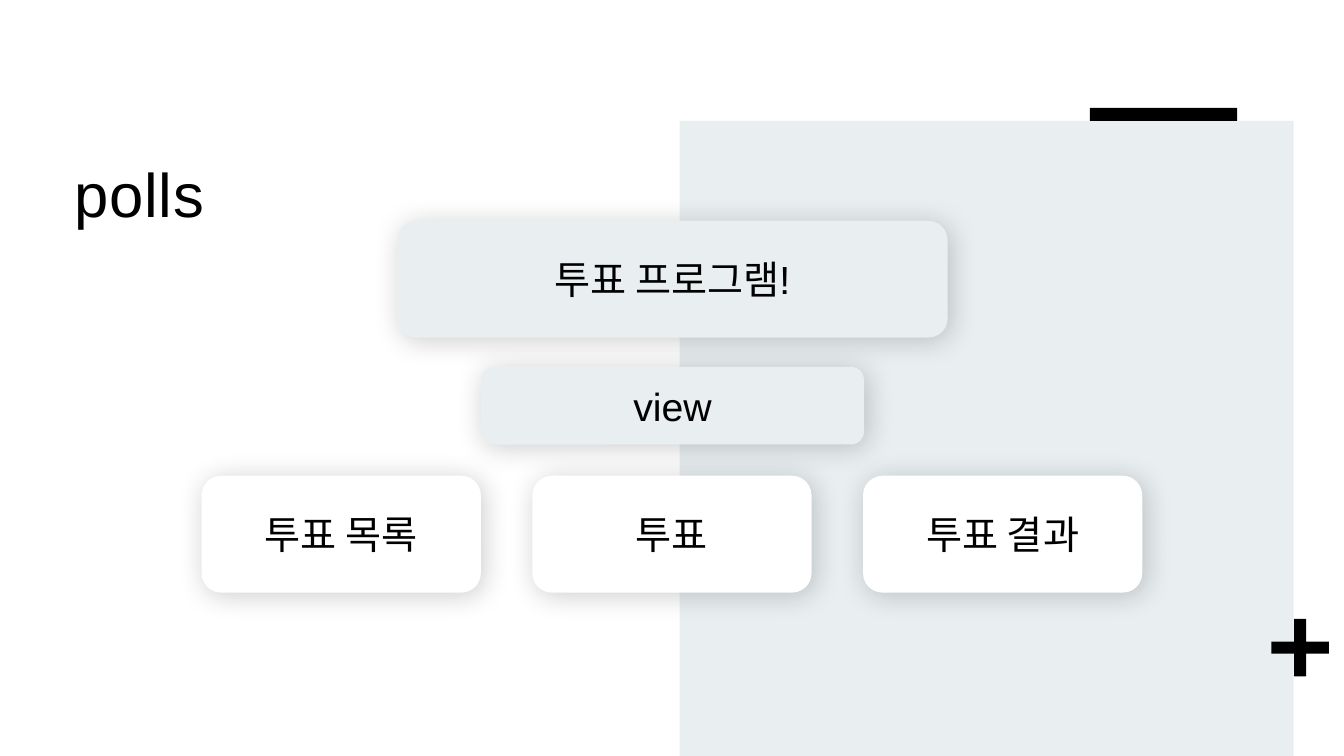
from dataclasses import dataclass

from lxml import etree
from pptx import Presentation
from pptx import util as u
from pptx.dml.color import RGBColor
from pptx.enum import shapes, text
from pptx.oxml.ns import qn


@dataclass(frozen=True)
class Theme:
    ink: str = "000000"
    pale: str = "E9EFF1"
    white: str = "FFFFFF"
    font: str = "Arial"
    title_size: int = 44
    card_size: int = 28


THEME = Theme()
SHAPE = shapes.MSO_SHAPE


def place(box, left, top, width, height):
    box.left, box.top = u.Inches(left), u.Inches(top)
    box.width, box.height = u.Inches(width), u.Inches(height)


def style_text(para, size, align):
    para.alignment = align
    for span in para.runs:
        span.font.name = THEME.font
        span.font.size = u.Pt(size)
        span.font.color.rgb = RGBColor.from_string(THEME.ink)


def add_block(page, kind, bounds, color):
    """Add a plain filled shape without line or shadow."""
    box = page.shapes.add_shape(kind, *map(u.Inches, bounds))
    box.fill.solid()
    box.fill.fore_color.rgb = RGBColor.from_string(color)
    box.line.fill.background()
    box.shadow.inherit = False
    return box


def add_soft_shadow(box):
    effects = box._element.spPr.find(qn("a:effectLst"))
    shadow = etree.SubElement(
        effects, qn("a:outerShdw"), blurRad=str(u.Pt(20)), dist=str(u.Pt(3)),
        dir=str(45 * 60000), algn="tl", rotWithShape="0")
    color = etree.SubElement(shadow, qn("a:srgbClr"), val=THEME.ink)
    etree.SubElement(color, qn("a:alpha"), val="20000")


def add_card(page, label, bounds, color):
    box = add_block(page, SHAPE.ROUNDED_RECTANGLE, bounds, color)
    add_soft_shadow(box)
    frame = box.text_frame
    frame.text = label
    frame.word_wrap = True
    frame.vertical_anchor = text.MSO_ANCHOR.MIDDLE
    style_text(frame.paragraphs[0], THEME.card_size, text.PP_ALIGN.CENTER)


def add_title(page, label):
    title = page.shapes.title
    place(title, 0.62, 1.32, 9.04, 1.58)
    frame = title.text_frame
    frame.text = label
    frame.auto_size = text.MSO_AUTO_SIZE.NONE
    frame.vertical_anchor = text.MSO_ANCHOR.TOP
    frame.margin_left = frame.margin_top = frame.margin_right = u.Inches(0.12)
    frame.margin_bottom = u.Inches(0.1)
    para = frame.paragraphs[0]
    para.line_spacing = 1.14
    style_text(para, THEME.title_size, text.PP_ALIGN.LEFT)
    para.runs[0].font._element.set("spc", "50")


def add_backdrop(page):
    add_block(page, SHAPE.RECTANGLE, (6.74, 1.2, 6.09, 6.3), THEME.pale)
    plus = add_block(page, SHAPE.CROSS, (12.61, 6.14, 0.57, 0.57), THEME.ink)
    plus.adjustments[0] = 0.395
    add_block(page, SHAPE.RECTANGLE, (10.81, 1.07, 1.46, 0.13), THEME.ink)


def main():
    deck = Presentation()
    deck.slide_width, deck.slide_height = u.Inches(13.33), u.Inches(7.5)
    page = deck.slides.add_slide(deck.slide_layouts[5])
    add_backdrop(page)
    add_title(page, "polls")

    add_card(page, "투표 프로그램!", (3.94, 2.19, 5.46, 1.16), THEME.pale)
    for column, label in enumerate(("투표 목록", "투표", "투표 결과")):
        bounds = (2 + 3.28 * column, 4.72, 2.77, 1.16)
        add_card(page, label, bounds, THEME.white)
    add_card(page, "view", (4.77, 3.64, 3.8, 0.77), THEME.pale)
    deck.save("out.pptx")


if __name__ == "__main__":
    main()
